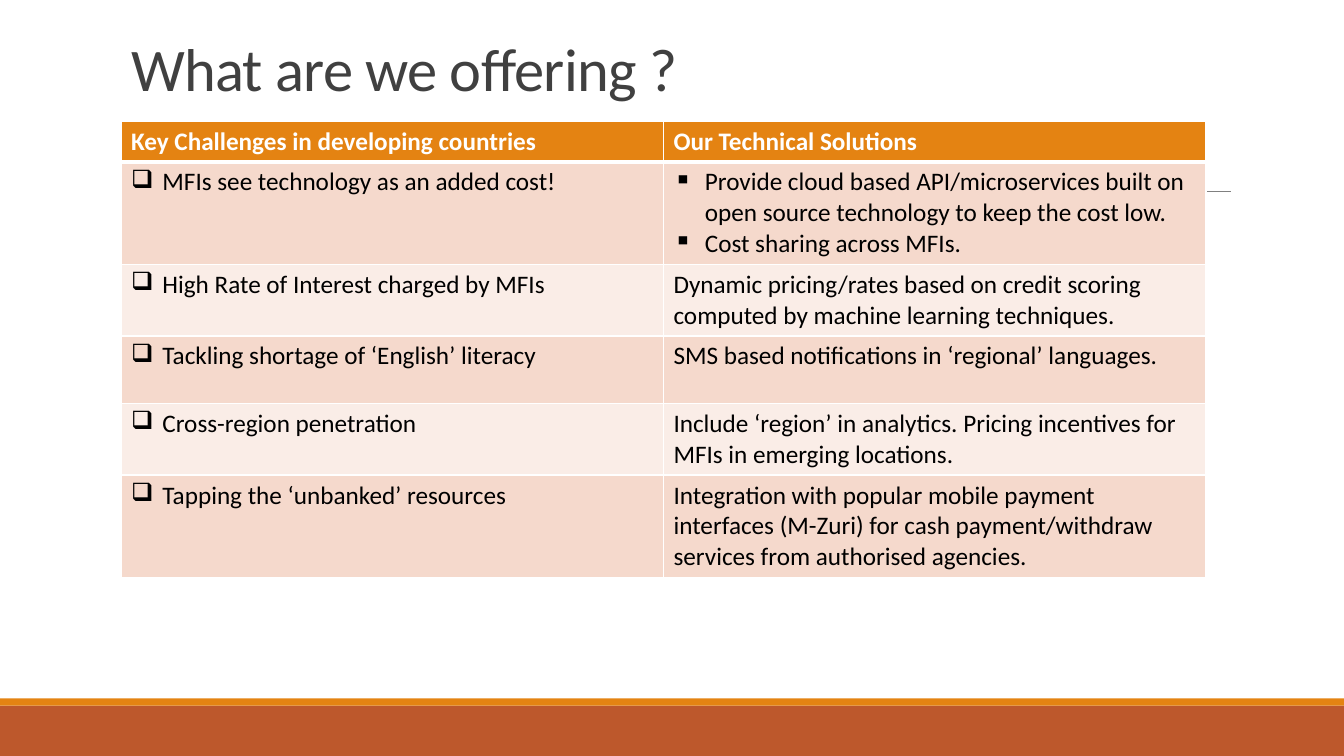
from dataclasses import dataclass

from lxml import etree
from pptx import Presentation
from pptx.dml.color import RGBColor
from pptx.enum.shapes import MSO_CONNECTOR, MSO_SHAPE
from pptx.enum.text import MSO_ANCHOR, MSO_AUTO_SIZE, PP_ALIGN
from pptx.oxml.ns import qn
from pptx.util import Cm, Pt

RECTANGLE = MSO_SHAPE.RECTANGLE
STRAIGHT = MSO_CONNECTOR.STRAIGHT
LEFT = PP_ALIGN.LEFT
BOTTOM = MSO_ANCHOR.BOTTOM
NO_AUTOFIT = MSO_AUTO_SIZE.NONE


@dataclass(frozen=True)
class Theme:
    font: str = "Calibri"
    title_size: float = 43.2
    table_size: float = 18
    title: str = "404040"
    text: str = "000000"
    white: str = "FFFFFF"
    accent: str = "E48312"
    footer: str = "BD582C"
    rule: str = "808080"
    bands: tuple = ("F5D9CC", "FAEDE7")


theme = Theme()


def style_run(span, size, color, bold=False):
    span.font.name = theme.font
    span.font.size = Pt(size)
    span.font.bold = bold
    span.font.color.rgb = RGBColor.from_string(color)


def add_borders(cell, bottom_width):
    properties = cell._tc.get_or_add_tcPr()
    widths = {"L": 1, "R": 1, "T": 1, "B": bottom_width}
    for position, (side, width) in enumerate(widths.items()):
        line = etree.Element(qn(f"a:ln{side}"), w=str(Pt(width)))
        fill = etree.SubElement(line, qn("a:solidFill"))
        etree.SubElement(fill, qn("a:srgbClr"), val=theme.white)
        properties.insert(position, line)


deck = Presentation()
deck.slide_width, deck.slide_height = Cm(33.87), Cm(19.05)
page = deck.slides.add_slide(deck.slide_layouts[5])

# Footer bands
for top, height, color in ((17.78, 1.27, theme.footer), (17.6, 0.18, theme.accent)):
    band = page.shapes.add_shape(RECTANGLE, 0, Cm(top), deck.slide_width, Cm(height))
    band.shadow.inherit = False
    band.fill.solid()
    band.fill.fore_color.rgb = RGBColor.from_string(color)
    band.line.fill.background()

# Rule behind the table
rule = page.shapes.add_connector(STRAIGHT, Cm(3.33), Cm(4.83), Cm(31.01), Cm(4.83))
rule.line.color.rgb = RGBColor.from_string(theme.rule)
rule.line.width = Pt(0.5)
etree.SubElement(rule._element.spPr, qn("a:effectLst"))

# Title
title = page.shapes.title
title.left, title.top, title.width, title.height = Cm(3.05), Cm(0.79), Cm(27.94), Cm(1.96)
title.text_frame.text = "What are we offering ?"
title.text_frame.auto_size = NO_AUTOFIT
title.text_frame.vertical_anchor = BOTTOM
heading = title.text_frame.paragraphs[0]
heading.alignment = LEFT
heading.line_spacing = 0.85
style_run(heading.runs[0], theme.title_size, theme.title)
heading.runs[0].font._element.set("spc", "-50")

# Table content: challenge, solution, bullet of the solution, row height
headers = ("Key Challenges in developing countries", "Our Technical Solutions")
offers = (
    ("MFIs see technology as an added cost!",
     "Provide cloud based API/microservices built on open source technology "
     "to keep the cost low.\nCost sharing across MFIs.", "▪", 2.44),
    ("High Rate of Interest charged by MFIs",
     "Dynamic pricing/rates based on credit scoring computed by machine "
     "learning techniques.", None, 1.7),
    ("Tackling shortage of ‘English’ literacy",
     "SMS based notifications in ‘regional’ languages.", None, 1.7),
    ("Cross-region penetration",
     "Include ‘region’ in analytics. Pricing incentives for MFIs in emerging "
     "locations.", None, 1.7),
    ("Tapping the ‘unbanked’ resources",
     "Integration with popular mobile payment interfaces (M-Zuri) for cash "
     "payment/withdraw services from authorised agencies.", None, 2.44),
)
rows = [(headers, (None, None), 0.97)]
rows += [((challenge, solution), ("❑", bullet), height)
         for challenge, solution, bullet, height in offers]

# Table
table = page.shapes.add_table(
    len(rows), len(headers), Cm(3.05), Cm(3.05), Cm(27.34), Cm(10.95)).table
for column in table.columns:
    column.width = Cm(13.67)

for row_index, (texts, bullets, height) in enumerate(rows):
    table.rows[row_index].height = Cm(height)
    is_header = row_index == 0
    fill_color = theme.accent if is_header else theme.bands[(row_index - 1) % 2]
    text_color = theme.white if is_header else theme.text
    for column_index, (text, bullet) in enumerate(zip(texts, bullets)):
        cell = table.cell(row_index, column_index)
        cell.fill.solid()
        cell.fill.fore_color.rgb = RGBColor.from_string(fill_color)
        add_borders(cell, 3 if is_header else 1)
        cell.text_frame.text = text
        for para in cell.text_frame.paragraphs:
            style_run(para.runs[0], theme.table_size, text_color, is_header)
            if bullet:
                properties = para._p.get_or_add_pPr()
                properties.set("marL", str(Cm(0.79)))
                properties.set("indent", str(-Cm(0.79)))
                etree.SubElement(properties, qn("a:buChar"), char=bullet)

deck.save("out.pptx")
